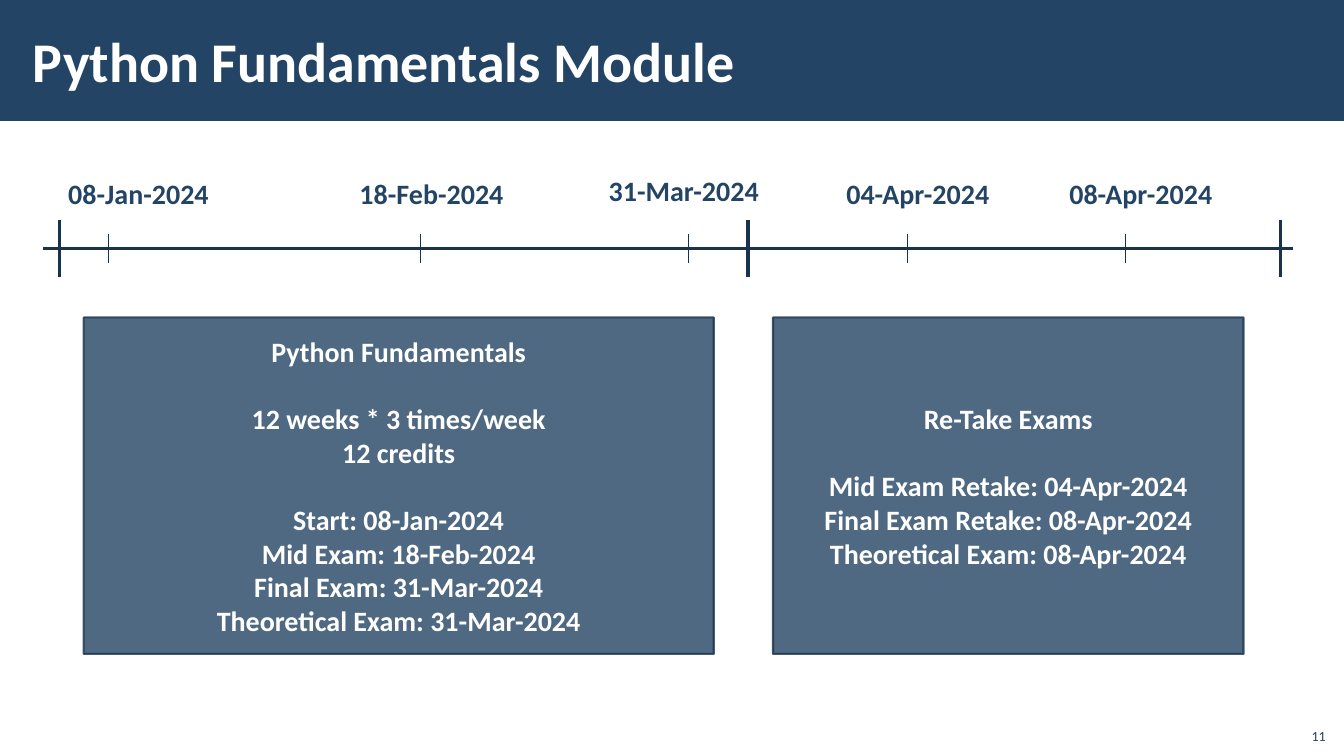
from lxml.etree import SubElement
from pptx import Presentation
from pptx.dml.color import RGBColor
from pptx.enum.shapes import MSO_CONNECTOR, MSO_SHAPE
from pptx.enum.text import MSO_ANCHOR, MSO_AUTO_SIZE, PP_ALIGN
from pptx.oxml.ns import qn
from pptx.util import Cm, Pt

TITLE = "Python Fundamentals Module"
PAGE = "11"
# date, tick x, label left, label top, label width (cm)
MILESTONES = [
    ("08-Jan-2024", 2.74, 1.47, 4.32, 4.09),
    ("18-Feb-2024", 10.59, 8.81, 4.32, 4.17),
    ("31-Mar-2024", 17.35, 15.09, 4.24, 4.34),
    ("04-Apr-2024", 22.86, 21.08, 4.32, 4.19),
    ("08-Apr-2024", 28.37, 26.7, 4.32, 4.19),
]
PERIOD_BOUNDS = [1.5, 18.85, 32.28]
# left, width (cm), groups of lines
PERIODS = [
    (2.11, 15.88, [
        ["Python Fundamentals"],
        ["12 weeks * 3 times/week", "12 credits"],
        ["Start: 08-Jan-2024", "Mid Exam: 18-Feb-2024",
         "Final Exam: 31-Mar-2024", "Theoretical Exam: 31-Mar-2024"],
    ]),
    (19.48, 11.86, [
        ["Re-Take Exams"],
        ["Mid Exam Retake: 04-Apr-2024", "Final Exam Retake: 08-Apr-2024",
         "Theoretical Exam: 08-Apr-2024"],
    ]),
]
THEME = {
    "font": "Calibri",
    "navy": RGBColor(0x23, 0x44, 0x65),
    "line": RGBColor(0x1A, 0x33, 0x4C),
    "white": RGBColor(0xFF, 0xFF, 0xFF),
    "title": Pt(40), "body": Pt(20), "page": Pt(10),
    "group_gap": Pt(24),
    "thick": Pt(2.25), "thin": Pt(0.5), "border": Pt(1.5),
    "opacity": 80,
}
SLIDE_W, SLIDE_H = 33.87, 19.05
AXIS_Y, AXIS_START, AXIS_END = 6.26, 1.09, 32.59
BOUND_HALF, TICK_HALF = 0.72, 0.36
PERIOD_TOP, PERIOD_H = 8, 8.48


def add_run(paragraph, wording, size, color, bold=True):
    run = paragraph.add_run()
    run.text = wording
    run.font.name = THEME["font"]
    run.font.size = THEME[size]
    run.font.bold = bold
    run.font.color.rgb = THEME[color]


def add_label(slide, wording, box, size, color, bold=True, wrap=True,
              anchor=MSO_ANCHOR.TOP, align=PP_ALIGN.LEFT):
    frame = slide.shapes.add_textbox(*map(Cm, box)).text_frame
    frame.word_wrap = wrap
    frame.auto_size = MSO_AUTO_SIZE.NONE if wrap else MSO_AUTO_SIZE.SHAPE_TO_FIT_TEXT
    frame.vertical_anchor = anchor
    frame.paragraphs[0].alignment = align
    add_run(frame.paragraphs[0], wording, size, color, bold)
    return frame


def add_line(slide, x1, y1, x2, y2, weight):
    line = slide.shapes.add_connector(MSO_CONNECTOR.STRAIGHT, *map(Cm, (x1, y1, x2, y2)))
    line.line.color.rgb = THEME["line"]
    line.line.width = THEME[weight]
    SubElement(line._element.spPr, qn("a:effectLst"))


def add_tick(slide, x, half, weight):
    add_line(slide, x, AXIS_Y - half, x, AXIS_Y + half, weight)


def add_rectangle(slide, box):
    rectangle = slide.shapes.add_shape(MSO_SHAPE.RECTANGLE, *map(Cm, box))
    rectangle.shadow.inherit = False
    rectangle.fill.solid()
    rectangle.fill.fore_color.rgb = THEME["navy"]
    rectangle.line.fill.background()
    return rectangle


def add_period(slide, left, width, groups):
    period = add_rectangle(slide, (left, PERIOD_TOP, width, PERIOD_H))
    period.line.color.rgb = THEME["line"]
    period.line.width = THEME["border"]
    for color in period._element.spPr.iter(qn("a:srgbClr")):
        SubElement(color, qn("a:alpha"), val=str(THEME["opacity"] * 1000))

    frame = period.text_frame
    frame.word_wrap = True
    frame.vertical_anchor = MSO_ANCHOR.MIDDLE
    for g, group in enumerate(groups):
        for i, wording in enumerate(group):
            first = g == 0 and i == 0
            paragraph = frame.paragraphs[0] if first else frame.add_paragraph()
            paragraph.alignment = PP_ALIGN.CENTER
            if g > 0 and i == 0:
                paragraph.space_before = THEME["group_gap"]
            add_run(paragraph, wording, "body", "white")


def main():
    deck = Presentation()
    deck.slide_width, deck.slide_height = Cm(SLIDE_W), Cm(SLIDE_H)
    slide = deck.slides.add_slide(deck.slide_layouts[6])

    add_rectangle(slide, (0, 0, SLIDE_W, 3.05))
    title = add_label(slide, TITLE, (0.53, 0.28, 27, 2.46), "title", "white",
                      anchor=MSO_ANCHOR.MIDDLE)
    title.margin_left = title.margin_right = Cm(0.3)
    title.margin_top = title.margin_bottom = Cm(0.1)
    add_label(slide, PAGE, (32.64, 18.08, 1.02, 0.81), "page", "navy", bold=False,
              anchor=MSO_ANCHOR.BOTTOM, align=PP_ALIGN.RIGHT)

    add_line(slide, AXIS_START, AXIS_Y, AXIS_END, AXIS_Y, "thick")
    for x in PERIOD_BOUNDS:
        add_tick(slide, x, BOUND_HALF, "thick")
    for date, x, left, top, width in MILESTONES:
        add_tick(slide, x, TICK_HALF, "thin")
        add_label(slide, date, (left, top, width, 1.12), "body", "navy", wrap=False)
    for period in PERIODS:
        add_period(slide, *period)

    deck.save("out.pptx")


if __name__ == "__main__":
    main()
